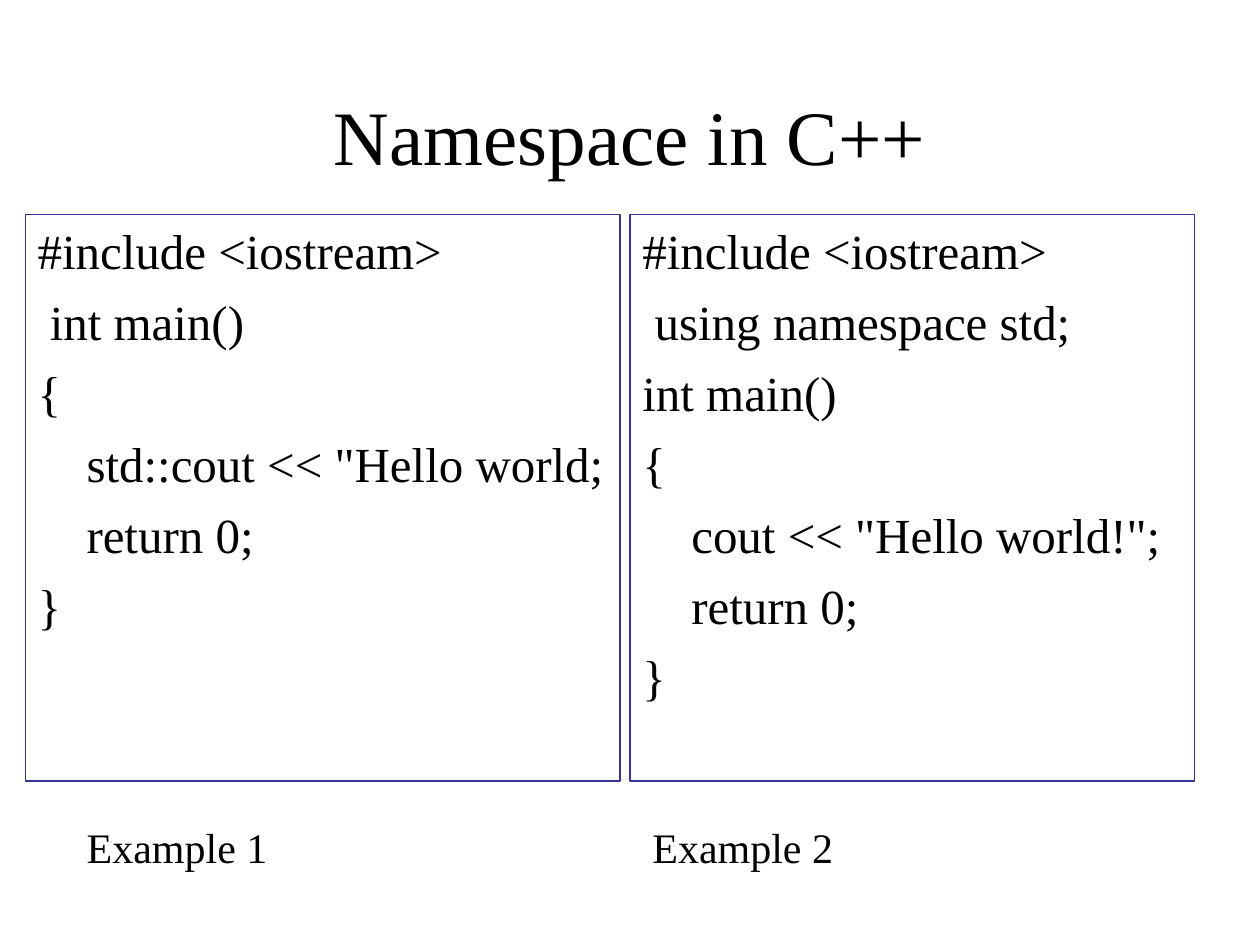
import pptx
import pptx.dml.color
import pptx.enum.shapes
import pptx.enum.text
import pptx.util

Inches = pptx.util.Inches
Pt = pptx.util.Pt
ALIGN = pptx.enum.text.PP_ALIGN
ANCHOR = pptx.enum.text.MSO_ANCHOR

INK = "000000"
FRAME = "333399"

EXAMPLE_1 = [
    "#include <iostream>",
    " int main()",
    "{",
    "    std::cout << \"Hello world;",
    "    return 0;",
    "}",
]
EXAMPLE_2 = [
    "#include <iostream>",
    " using namespace std;",
    "int main()",
    "{",
    "    cout << \"Hello world!\";",
    "    return 0;",
    "}",
]


def color(hex_string):
    return pptx.dml.color.RGBColor.from_string(hex_string)


def write_lines(shape, lines, size, align=ALIGN.LEFT, anchor=ANCHOR.TOP, gap=0):
    frame = shape.text_frame
    frame_format = {"word_wrap": True, "vertical_anchor": anchor}
    for name, value in frame_format.items():
        setattr(frame, name, value)
    font_format = {"name": "Times New Roman", "size": Pt(size)}
    for index, line in enumerate(lines):
        paragraph = frame.paragraphs[0] if index == 0 else frame.add_paragraph()
        paragraph.alignment = align
        if index and gap:
            paragraph.space_before = Pt(gap)
        run = paragraph.add_run()
        run.text = line
        for name, value in font_format.items():
            setattr(run.font, name, value)
        run.font.color.rgb = color(INK)


def add_label(slide, box, text, size, **layout):
    label = slide.shapes.add_textbox(*map(Inches, box))
    write_lines(label, [text], size, **layout)


def add_code_panel(slide, box, code):
    panel = slide.shapes.add_shape(
        pptx.enum.shapes.MSO_SHAPE.RECTANGLE, *map(Inches, box))
    panel.shadow.inherit = False
    panel.fill.background()
    panel.line.color.rgb = color(FRAME)
    panel.line.width = Pt(0.75)
    write_lines(panel, code, 28, gap=7)


def add_example(slide, box, code, caption, caption_left):
    left, top, width, height = box
    add_code_panel(slide, box, code)
    # Caption below the panel
    caption_top = top + height + 0.27
    add_label(slide, (caption_left, caption_top, 3.7, 0.5), caption, 24)


def main():
    deck = pptx.Presentation()
    deck.slide_width, deck.slide_height = Inches(10), Inches(7.5)
    slide = deck.slides.add_slide(deck.slide_layouts[6])

    # Title
    add_label(slide, (0.75, 0.44, 8.5, 1.25), "Namespace in C++", 44,
              align=ALIGN.CENTER, anchor=ANCHOR.MIDDLE)

    # Code examples side by side
    add_example(slide, (0.2, 1.7, 4.72, 4.5), EXAMPLE_1, "Example 1", 0.59)
    add_example(slide, (5, 1.7, 4.48, 4.5), EXAMPLE_2, "Example 2", 5.08)

    deck.save("out.pptx")


if __name__ == "__main__":
    main()
